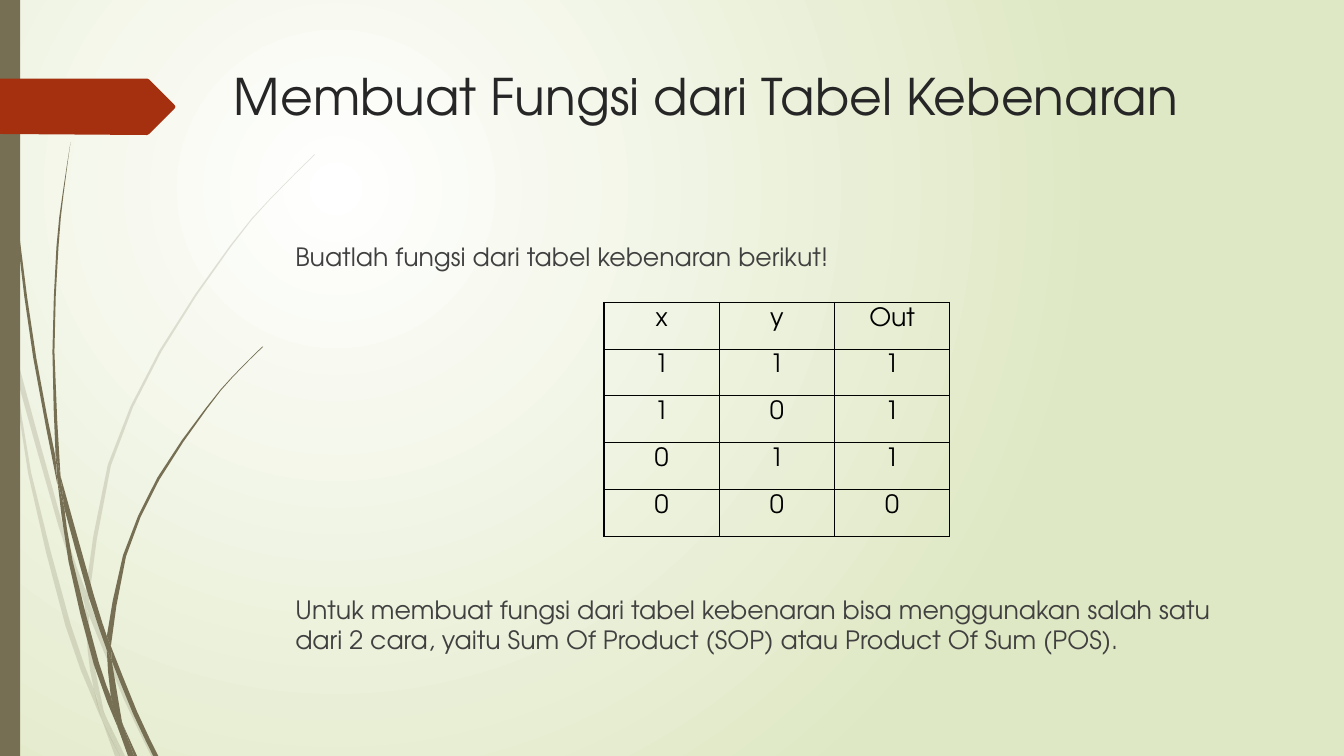
"""Build a slide that asks for a Boolean function from a truth table."""
from dataclasses import dataclass

from lxml import etree
from pptx import Presentation
from pptx import util as u
from pptx.dml.color import RGBColor
from pptx.enum import text
from pptx.oxml import ns

FONT = "TeX Gyre Adventor"
WHITE = RGBColor(0xFF, 0xFF, 0xFF)
PALE_GREEN = RGBColor(0xDF, 0xE8, 0xC4)
OLIVE = RGBColor(0x76, 0x6F, 0x54)
RUST = RGBColor(0xA5, 0x30, 0x10)
TITLE_GREY = RGBColor(0x26, 0x26, 0x26)
BODY_GREY = RGBColor(0x40, 0x40, 0x40)
BLACK = RGBColor(0, 0, 0)
FAINT_ALPHA = 20
CURVE_STEPS = 2

Points = list[tuple[float, float]]


@dataclass(frozen=True)
class Blade:
    """A sliver of grass between two smooth edges, in inches."""
    out: Points
    back: Points


FAINT_BLADES = [
    Blade([(0, 2.82), (0.09, 3.22), (0.11, 3.5)], [(0.1, 3.44), (0, 2.99)]),
    Blade([(0.14, 3.45), (0.62, 5.2), (0.85, 5.86)],
          [(0.84, 5.99), (0.58, 5.22), (0.17, 3.76)]),
    Blade([(0.88, 5.96), (1.27, 6.92), (1.55, 7.5)],
          [(1.5, 7.5), (1.23, 6.94), (0.88, 6.1)]),
    Blade([(1.05, 7.11), (1.24, 7.5)], [(1.19, 7.5)]),
    Blade([(0.11, 3.5), (0.28, 4.7), (0.65, 6.21), (0.92, 6.93), (1.01, 7.14)],
          [(0.93, 6.83), (0.7, 6.19), (0.31, 4.69), (0.17, 3.76)]),
    Blade([(0.84, 5.99), (0.87, 6.46), (0.93, 6.83), (1.05, 7.11)],
          [(1.03, 7.06), (0.91, 6.46), (0.88, 6.1)]),
    Blade([(0.88, 5.96), (1.1, 4.62), (1.6, 3.49), (2.29, 2.45),
           (2.68, 1.98), (3.12, 1.54)],
          [(3.12, 1.53), (2.68, 1.97), (2.28, 2.44), (1.58, 3.48),
           (1.07, 4.61), (0.85, 5.86)]),
    Blade([(1.01, 7.14), (1.14, 7.5)], [(1.19, 7.5)]),
    Blade([(0.88, 6.08), (0.88, 5.96)], [(0.85, 5.86), (0.84, 5.99)]),
    Blade([(0.93, 6.83), (1.01, 7.14), (1.19, 7.5)],
          [(1.05, 7.11), (0.96, 6.92)]),
]
DARK_BLADES = [
    Blade([(0.04, 0), (0.08, 1.09), (0.19, 2.32), (0.36, 3.55), (0.55, 4.53)],
          [(0.57, 4.81), (0.33, 3.55), (0.17, 2.33), (0.07, 1.1), (0.03, 0)]),
    Blade([(0.6, 4.72), (0.93, 5.9), (1.06, 6.31)],
          [(1.06, 6.45), (0.88, 5.92), (0.64, 5.05)]),
    Blade([(1.1, 6.41), (1.36, 7.06), (1.57, 7.5)],
          [(1.52, 7.5), (1.32, 7.08), (1.11, 6.56)]),
    Blade([(0.57, 4.77), (0.68, 5.57), (0.93, 6.59), (1.17, 7.22)],
          [(1.1, 6.91), (0.98, 6.57), (0.72, 5.56), (0.64, 5.05)]),
    Blade([(0.6, 4.72), (0.54, 3.49), (0.58, 2.45), (0.63, 1.93),
           (0.7, 1.41)],
          [(0.7, 1.41), (0.62, 1.93), (0.56, 2.45), (0.52, 3.49),
           (0.55, 4.49)]),
    Blade([(1.22, 7.19), (1.36, 7.5)], [(1.33, 7.5)]),
    Blade([(0.57, 4.77), (0.64, 5.05)], [(0.6, 4.72), (0.55, 4.49)]),
    Blade([(1.1, 6.41), (1.25, 5.52), (1.58, 4.76), (2.05, 4.06),
           (2.31, 3.74), (2.61, 3.44)],
          [(2.6, 3.44), (2.31, 3.73), (2.04, 4.05), (1.56, 4.74),
           (1.22, 5.51), (1.06, 6.31)]),
    Blade([(1.17, 7.22), (1.27, 7.5)], [(1.31, 7.5)]),
    Blade([(1.06, 6.45), (1.1, 6.91), (1.22, 7.19)],
          [(1.21, 7.16), (1.11, 6.56)]),
    Blade([(1.06, 6.45), (1.11, 6.56)], [(1.1, 6.41), (1.06, 6.31)]),
    Blade([(1.1, 6.91), (1.17, 7.22), (1.3, 7.5)],
          [(1.33, 7.5), (1.22, 7.19)]),
]
ARROW = [(0, 0.78), (1.46, 0.78), (1.48, 0.79), (1.73, 1.04), (1.74, 1.06),
         (1.73, 1.08), (1.48, 1.33), (1.46, 1.34), (0, 1.33)]
TRUTH_TABLE = ["x y Out", "1 1 1", "1 0 1", "0 1 1", "0 0 0"]


def smooth(edge: Points) -> Points:
    """Return points on the Catmull-Rom curve through an edge."""
    if len(edge) < 3:
        return edge
    padded = [edge[0], *edge, edge[-1]]
    curve = [edge[0]]
    for a, b, c, d in zip(padded, padded[1:], padded[2:], padded[3:]):
        for step in range(1, CURVE_STEPS + 1):
            t = step / CURVE_STEPS
            x, y = (b[i] + t * (c[i] - a[i]) / 2
                    + t**2 * (2 * a[i] - 5 * b[i] + 4 * c[i] - d[i]) / 2
                    + t**3 * (3 * b[i] - a[i] - 3 * c[i] + d[i]) / 2
                    for i in (0, 1))
            curve.append((x, y))
    return curve


def paint(sp, color: RGBColor, alpha: int = 100) -> None:
    """Give a shape a flat fill without line or shadow."""
    sp.shadow.inherit = False
    sp.fill.solid()
    sp.fill.fore_color.rgb = color
    sp.line.fill.background()
    if alpha < 100:
        clr = sp.element.spPr.find(f".//{ns.qn('a:srgbClr')}")
        etree.SubElement(clr, ns.qn("a:alpha"), val=str(alpha * 1000))


def add_outline(parent, points: Points, color: RGBColor, alpha: int = 100) -> None:
    """Draw a closed outline on a slide or in a group."""
    start, *rest = [(u.Inches(x), u.Inches(y)) for x, y in points]
    builder = parent.shapes.build_freeform(*start)
    builder.add_line_segments(rest, close=True)
    paint(builder.convert_to_shape(), color, alpha)


def set_background(s) -> None:
    """Fill the background with a radial gradient."""
    fill = s.background.fill
    fill.gradient()
    for stop, color in zip(fill.gradient_stops, (WHITE, PALE_GREEN)):
        stop.color.rgb = color
    grad = s.element.find(f".//{ns.qn('a:gradFill')}")
    grad.remove(grad.find(ns.qn("a:lin")))
    radial = etree.SubElement(grad, ns.qn("a:path"), {"path": "circle"})
    etree.SubElement(radial, ns.qn("a:fillToRect"),
                     l="50000", t="50000", r="100000", b="100000")


def format_runs(tf, size: int, color: RGBColor, align=text.PP_ALIGN.LEFT) -> None:
    """Align all paragraphs and set the font of their runs."""
    for p in tf.paragraphs:
        p.alignment = align
        for r in p.runs:
            r.font.name = FONT
            r.font.size = u.Pt(size)
            r.font.color.rgb = color


def add_title(s) -> None:
    """Move, fill and format the title placeholder."""
    sp = s.shapes.title
    sp.left, sp.top = u.Inches(2.22), u.Inches(0.6)
    sp.width, sp.height = u.Inches(9.75), u.Inches(1.4)
    tf = sp.text_frame
    tf.text = "Membuat Fungsi dari Tabel Kebenaran"
    tf.vertical_anchor = text.MSO_ANCHOR.TOP
    format_runs(tf, 36, TITLE_GREY)


def add_body(s) -> None:
    """Add the task above the table and the hint below it."""
    sp = s.shapes.add_textbox(u.Inches(2.83), u.Inches(2.34),
                              u.Inches(9.75), u.Inches(4.87))
    tf = sp.text_frame
    tf.word_wrap = True
    tf.text = "Buatlah fungsi dari tabel kebenaran berikut!"
    p = tf.add_paragraph()
    p.text = ("Untuk membuat fungsi dari tabel kebenaran bisa menggunakan salah satu "
              "dari 2 cara, yaitu Sum Of Product (SOP) atau Product Of Sum (POS).")
    p.space_before = u.Pt(231)
    format_runs(tf, 18, BODY_GREY)


def add_truth_table(s) -> None:
    """Add the bordered truth table."""
    rows = [row.split() for row in TRUTH_TABLE]
    table = s.shapes.add_table(len(rows), len(rows[0]), u.Inches(5.99), u.Inches(3),
                               u.Inches(3.43), u.Inches(2.32)).table
    table.first_row = table.horz_banding = False
    for cell, value in zip(table.iter_cells(), sum(rows, [])):
        cell.text = value
        format_runs(cell.text_frame, 18, BLACK, text.PP_ALIGN.CENTER)
        for side in "LRTB":
            ln = etree.SubElement(cell._tc.get_or_add_tcPr(), ns.qn(f"a:ln{side}"),
                                  w=str(u.Pt(1)))
            fill = etree.SubElement(ln, ns.qn("a:solidFill"))
            etree.SubElement(fill, ns.qn("a:srgbClr"), val=str(BLACK))
        cell.fill.background()


def main() -> None:
    """Build and save the slide."""
    prs = Presentation()
    prs.slide_width, prs.slide_height = u.Inches(13.33), u.Inches(7.5)
    s = prs.slides.add_slide(prs.slide_layouts[5])
    set_background(s)
    for blades, alpha in ((FAINT_BLADES, FAINT_ALPHA), (DARK_BLADES, 100)):
        tuft = s.shapes.add_group_shape()
        for blade in blades:
            add_outline(tuft, smooth(blade.out) + smooth(blade.back), OLIVE, alpha)
    paint(s.shapes.add_shape(1, 0, 0, u.Inches(0.2), prs.slide_height), OLIVE)
    add_outline(s, ARROW, RUST)
    add_title(s)
    add_body(s)
    add_truth_table(s)
    prs.save("out.pptx")


if __name__ == "__main__":
    main()
